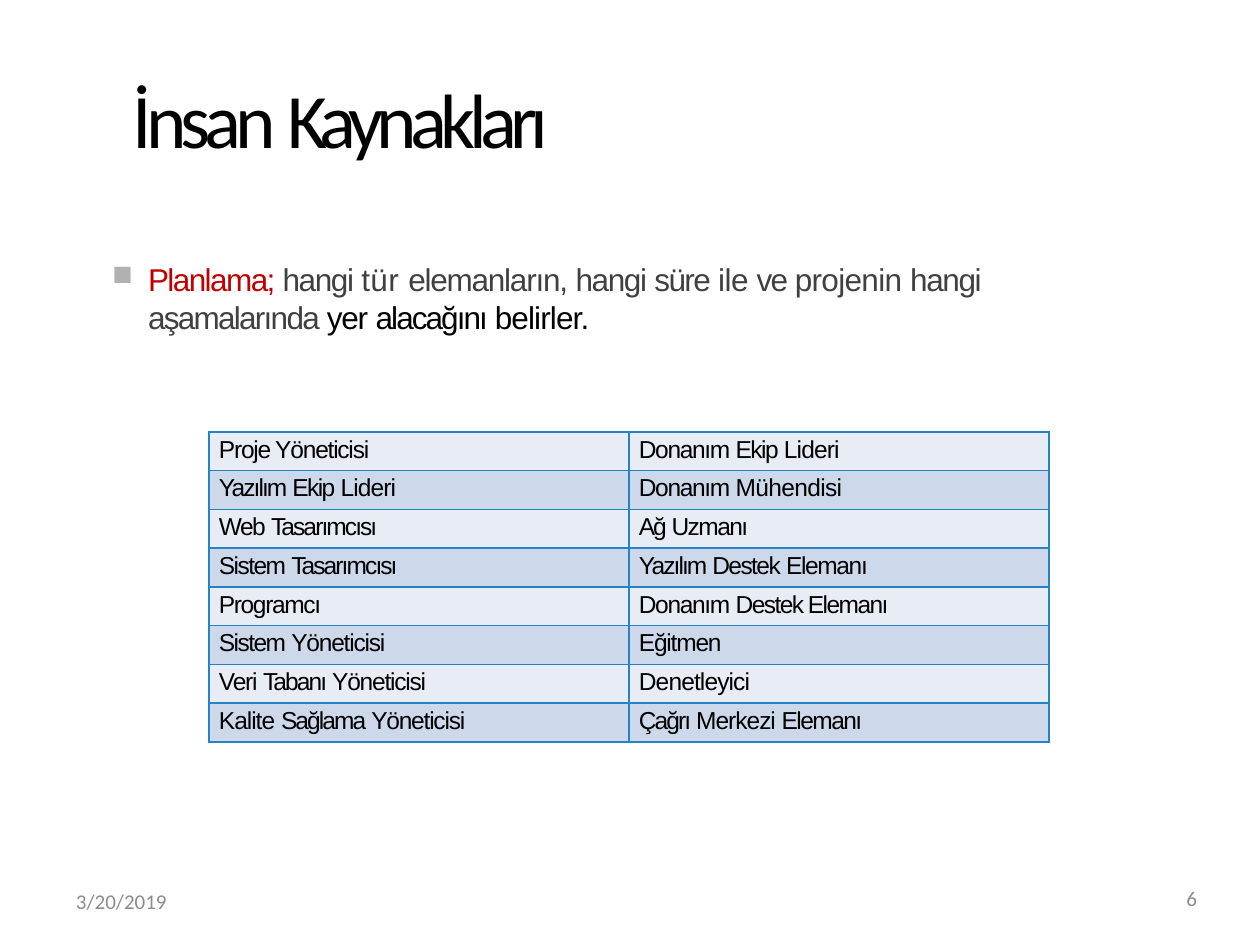
from dataclasses import dataclass

from lxml import etree
from pptx import Presentation
from pptx.dml.color import RGBColor
from pptx.enum.text import MSO_ANCHOR, PP_ALIGN
from pptx.oxml.ns import qn
from pptx.util import Emu, Pt

PX = 914400 // 126
TOP, MID = MSO_ANCHOR.TOP, MSO_ANCHOR.MIDDLE
LEFT, RIGHT = PP_ALIGN.LEFT, PP_ALIGN.RIGHT


@dataclass(frozen=True)
class Theme:
    ink: str = "000000"
    body: str = "404040"
    key: str = "C00000"
    muted: str = "8C8C8C"
    bullet: str = "B1B1B1"
    border: str = "2583C5"
    bands: tuple = ("E8ECF5", "CDD9EA")
    head: str = "Calibri"
    text: str = "Arial"
    title_pt: int = 44
    body_pt: int = 18
    cell_pt: int = 14
    foot_pt: int = 12


T = Theme()

# Each run is its text and its letter spacing in points
TITLE = [("İnsan ", -3.5), ("Kaynakları", -3.8)]
LEAD = [("Planlama; ", -0.9)]
PLAN = [("hangi ", -0.8), ("tür ", 0.2), ("elemanların, ", -0.7),
        ("hangi ", -0.8), ("süre ", -0.9), ("ile ", -0.3), ("ve ", -1.1),
        ("projenin ", -0.4), ("hangi ", -0.8), ("aşamalarında ", -1)]
CLOSE = [("yer ", -0.7), ("alacağını ", -1.1), ("belirler.", -0.5)]

ROLES = [
    ([("Proje Yöneticisi", -0.7)],
     [("Donanım ", -0.8), ("Ekip ", -0.9), ("Lideri", -0.5)]),
    ([("Yazılım ", -1.1), ("Ekip ", -0.9), ("Lideri", -0.5)],
     [("Donanım ", -0.8), ("Mühendisi", -0.4)]),
    ([("Web ", -0.9), ("Tasarımcısı", -1.1)],
     [("Ağ ", -1.2), ("Uzmanı", -0.9)]),
    ([("Sistem ", -0.9), ("Tasarımcısı", -1.1)],
     [("Yazılım ", -1.1), ("Destek ", -0.9), ("Elemanı", -0.8)]),
    ([("Programcı", -0.8)],
     [("Donanım ", -0.8), ("Destek Elemanı", -0.9)]),
    ([("Sistem ", -0.9), ("Yöneticisi", -0.7)],
     [("Eğitmen", -0.7)]),
    ([("Veri ", -0.7), ("Tabanı ", -1.1), ("Yöneticisi", -0.7)],
     [("Denetleyici", -0.5)]),
    ([("Kalite ", -0.6), ("Sağlama ", -1.1), ("Yöneticisi", -0.7)],
     [("Çağrı ", -1.1), ("Merkezi ", -0.6), ("Elemanı", -0.9)]),
]


def px(n):
    return Emu(n * PX)


def rgb(code):
    return RGBColor.from_string(code)


def add_runs(para, runs, size, font, color):
    for text, gap in runs:
        run = para.add_run()
        run.text = text
        run.font.size = Pt(size)
        run.font.name = font
        run.font.color.rgb = rgb(color)
        if gap:
            run._r.get_or_add_rPr().set("spc", str(round(gap * 100)))


def add_box(slide, area, anchor=TOP, align=LEFT, left=0, top=0):
    """Add a wrapping text box and return its first paragraph."""
    frame = slide.shapes.add_textbox(*map(px, area)).text_frame
    frame.word_wrap = True
    frame.vertical_anchor = anchor
    frame.margin_left, frame.margin_top = px(left), px(top)
    frame.margin_right = frame.margin_bottom = 0
    para = frame.paragraphs[0]
    para.alignment = align
    return para


def set_bullet(para, mark, color, size, indent):
    props = para._p.get_or_add_pPr()
    props.set("marL", str(px(indent)))
    props.set("indent", str(-px(indent)))
    tint = etree.SubElement(props, qn("a:buClr"))
    etree.SubElement(tint, qn("a:srgbClr"), val=color)
    etree.SubElement(props, qn("a:buSzPct"), val=str(size * 1000))
    etree.SubElement(props, qn("a:buChar"), char=mark)


def set_border(cell, color, width):
    props = cell._tc.get_or_add_tcPr()
    for side in ("lnL", "lnR", "lnT", "lnB"):
        line = etree.SubElement(props, qn(f"a:{side}"), w=str(Pt(width)))
        fill = etree.SubElement(line, qn("a:solidFill"))
        etree.SubElement(fill, qn("a:srgbClr"), val=color)


def add_grid(slide, area, rows):
    size = len(rows), len(rows[0])
    table = slide.shapes.add_table(*size, *map(px, area)).table
    table.first_row = table.horz_banding = False
    for r, row in enumerate(rows):
        for c, runs in enumerate(row):
            cell = table.cell(r, c)
            set_border(cell, T.border, 1)
            cell.fill.solid()
            cell.fill.fore_color.rgb = rgb(T.bands[r % 2])
            cell.margin_left, cell.margin_top = px(10), px(4)
            cell.margin_right = cell.margin_bottom = 0
            para = cell.text_frame.paragraphs[0]
            add_runs(para, runs, T.cell_pt, T.text, T.ink)


def main():
    deck = Presentation()
    deck.slide_width, deck.slide_height = px(1260), px(945)
    slide = deck.slides.add_slide(deck.slide_layouts[6])

    # Title
    para = add_box(slide, (63, 38, 1134, 158), MID, left=70, top=1)
    add_runs(para, TITLE, T.title_pt, T.head, T.ink)

    # Planning statement
    para = add_box(slide, (112, 257, 1040, 79), top=3)
    set_bullet(para, "■", T.bullet, 89, 36)
    for runs, color in ((LEAD, T.key), (PLAN, T.body), (CLOSE, T.ink)):
        add_runs(para, runs, T.body_pt, T.text, color)

    # Staff roles
    add_grid(slide, (209, 432, 840, 310), ROLES)

    # Date and page number
    para = add_box(slide, (63, 876, 294, 50), MID, left=13)
    add_runs(para, [("3/20/2019", 0)], T.foot_pt, T.head, T.muted)
    para = add_box(slide, (903, 876, 294, 50), MID, RIGHT)
    para.line_spacing = Pt(11.1)
    add_runs(para, [("6", -0.5)], T.foot_pt, T.head, T.muted)

    deck.save("out.pptx")


if __name__ == "__main__":
    main()
